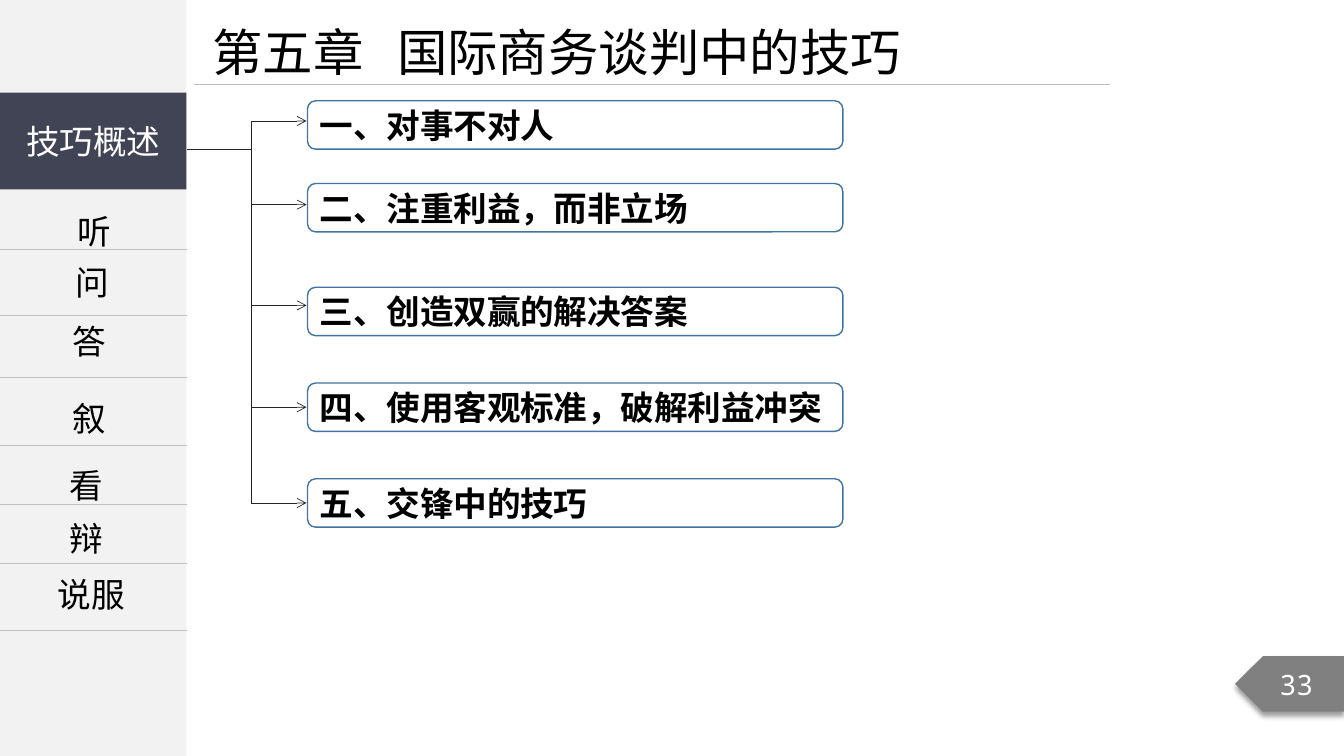
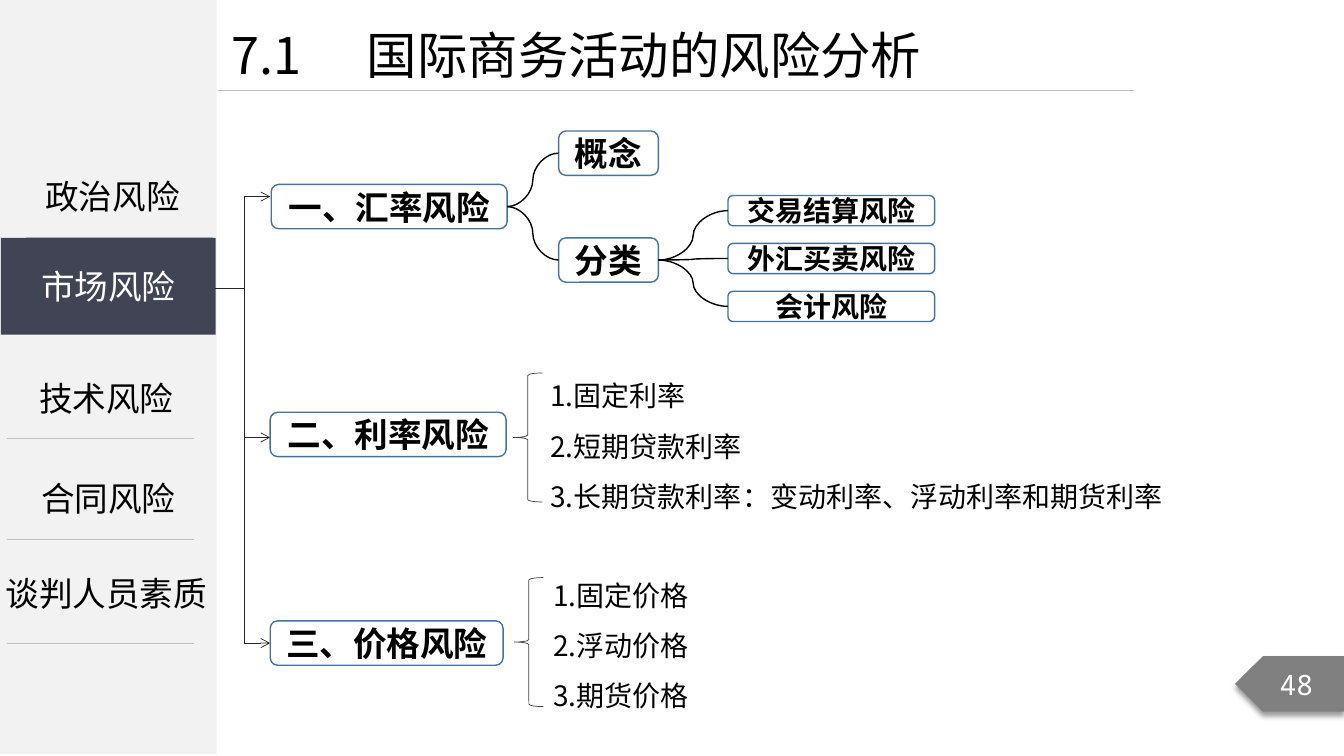
from dataclasses import dataclass

from lxml.etree import SubElement
from pptx import Presentation
from pptx.dml.color import RGBColor
from pptx.enum.shapes import MSO_CONNECTOR, MSO_SHAPE
from pptx.enum.text import MSO_ANCHOR, PP_ALIGN
from pptx.oxml.ns import qn
from pptx.util import Inches, Pt

BLACK = RGBColor(0x00, 0x00, 0x00)
WHITE = RGBColor(0xFF, 0xFF, 0xFF)
PANEL = RGBColor(0xF2, 0xF2, 0xF2)
ACTIVE = RGBColor(0x41, 0x44, 0x55)
RULE = RGBColor(0xBF, 0xBF, 0xBF)
TREE = RGBColor(0x26, 0x26, 0x26)
BRACE = RGBColor(0x40, 0x40, 0x40)
OUTLINE = RGBColor(0x43, 0x73, 0x9E)
TAG = RGBColor(0x80, 0x80, 0x80)
FONT = "Noto Sans CJK SC"
NUMBER_FONT = "Noto Sans Mono"
RIGHT_SITE, LEFT_SITE = 3, 1


@dataclass(frozen=True)
class Box:
    left: float
    top: float
    width: float
    height: float

    def lengths(self):
        return [Inches(v) for v in (self.left, self.top, self.width, self.height)]


@dataclass(frozen=True)
class Label:
    text: str
    box: Box
    spacing: float = 1.0


@dataclass(frozen=True)
class Frame:
    panel: Box
    title: str
    title_box: Box
    title_tab: float
    rule_left: float
    rule_y: float
    page: str
    active: Label
    labels: tuple
    dividers: tuple


@dataclass(frozen=True)
class Tree:
    root_x: float
    root_y: float
    trunk_x: float
    tip_x: float
    branches: tuple


def write(sp, lines, size=24, color=BLACK, font=FONT, align=PP_ALIGN.CENTER,
          spacing=1.0, bold=False, tracking=None):
    tf = sp.text_frame
    tf.word_wrap = True
    tf.text = "\n".join(lines)
    for p in tf.paragraphs:
        p.alignment = align
        p.line_spacing = spacing
        p.font.size = Pt(size)
        p.font.bold = bold
        p.font.color.rgb = color
        p.font.name = font
        props = p._p.find(".//" + qn("a:defRPr"))
        SubElement(props, qn("a:ea"), typeface=font)
        if tracking is not None:
            props.set("spc", str(round(tracking * 100)))
    return tf


def add_shape(slide, kind, box: Box, fill=None, line=None, width=1.0):
    sp = slide.shapes.add_shape(kind, *box.lengths())
    sp.shadow.inherit = False
    if fill is None:
        sp.fill.background()
    else:
        sp.fill.solid()
        sp.fill.fore_color.rgb = fill
    if line is None:
        sp.line.fill.background()
    else:
        sp.line.color.rgb = line
        sp.line.width = Pt(width)
    sp.text_frame.vertical_anchor = MSO_ANCHOR.MIDDLE
    return sp


def add_text(slide, lines, box: Box, **style):
    return write(slide.shapes.add_textbox(*box.lengths()), lines, **style)


def add_line(slide, x1: float, y1: float, x2: float, y2: float, color,
             width=0.5, kind=MSO_CONNECTOR.STRAIGHT, arrow=False):
    cx = slide.shapes.add_connector(kind, *[Inches(v) for v in (x1, y1, x2, y2)])
    cx.line.color.rgb = color
    cx.line.width = Pt(width)
    sp_pr = cx.element.spPr
    if arrow:
        SubElement(sp_pr.find(qn("a:ln")), qn("a:tailEnd"), type="arrow")
    SubElement(sp_pr, qn("a:effectLst"))
    return cx


def add_node(slide, text: str, box: Box, size=24, align=PP_ALIGN.CENTER):
    sp = add_shape(slide, MSO_SHAPE.ROUNDED_RECTANGLE, box, line=OUTLINE)
    write(sp, [text], size=size, align=align, bold=True, tracking=-0.1)
    return sp


def add_curve(slide, parent, child):
    cx = add_line(slide, 0, 0, 1, 1, BLACK, 1, MSO_CONNECTOR.CURVE)
    cx.begin_connect(parent, RIGHT_SITE)
    cx.end_connect(child, LEFT_SITE)


def add_page_tag(slide, page: str):
    sp = add_shape(slide, MSO_SHAPE.PENTAGON, Box(12.25, 6.51, 1.08, 0.55), TAG)
    sp.element.spPr.find(qn("a:xfrm")).set("flipH", "1")
    shadow = SubElement(sp.element.spPr.find(qn("a:effectLst")), qn("a:outerShdw"),
                        blurRad=str(Pt(4)), dist=str(Pt(3)), dir="5400000",
                        algn="t", rotWithShape="0")
    tint = SubElement(shadow, qn("a:srgbClr"), val=str(BLACK))
    SubElement(tint, qn("a:alpha"), val="40000")
    write(sp, [page], size=20, color=WHITE, font=NUMBER_FONT)


def add_title(slide, frame: Frame):
    tf = add_text(slide, [frame.title], frame.title_box, size=36, align=PP_ALIGN.LEFT)
    p = tf.paragraphs[0]
    props = p._p.find(".//" + qn("a:defRPr"))
    tabs = SubElement(props.getparent(), qn("a:tabLst"))
    SubElement(tabs, qn("a:tab"), pos=str(Inches(frame.title_tab)), algn="l")
    props.addprevious(tabs)


def add_frame(prs, frame: Frame):
    slide = prs.slides.add_slide(prs.slide_layouts[6])
    add_shape(slide, MSO_SHAPE.RECTANGLE, frame.panel, PANEL)
    add_line(slide, frame.rule_left, frame.rule_y,
             frame.rule_left + 9.09, frame.rule_y, RULE)
    add_page_tag(slide, frame.page)
    for label in frame.labels:
        add_text(slide, [label.text], label.box, spacing=label.spacing)
    for x, y in frame.dividers:
        add_line(slide, x, y, x + 1.85, y, RULE)
    sp = add_shape(slide, MSO_SHAPE.RECTANGLE, frame.active.box, ACTIVE)
    write(sp, [frame.active.text], color=WHITE)
    add_title(slide, frame)
    return slide


def add_tree(slide, tree: Tree):
    add_line(slide, tree.root_x, tree.root_y, tree.trunk_x, tree.root_y, TREE)
    add_line(slide, tree.trunk_x, tree.branches[0], tree.trunk_x, tree.branches[-1], TREE)
    for y in tree.branches:
        add_line(slide, tree.trunk_x, y, tree.tip_x, y, TREE, arrow=True)


def add_braced_list(slide, lines, text_box: Box, brace: Box):
    add_text(slide, lines, text_box, size=20, align=PP_ALIGN.LEFT, spacing=1.5)
    add_shape(slide, MSO_SHAPE.LEFT_BRACE, brace, line=BRACE, width=0.5)


def build_skills(prs):
    slide = add_frame(prs, Frame(
        panel=Box(0, 0, 1.85, 7.5),
        title="第五章\t国际商务谈判中的技巧",
        title_box=Box(2.01, 0.16, 9.67, 0.71),
        title_tab=1.83,
        rule_left=1.92,
        rule_y=0.84,
        page="33",
        active=Label("技巧概述", Box(0, 0.92, 1.85, 0.96)),
        labels=(
            Label("听", Box(0.02, 1.84, 1.83, 0.64), 1.5),
            Label("问", Box(0, 2.55, 1.83, 0.5)),
            Label("答", Box(-0.03, 3.13, 1.83, 0.5)),
            Label("叙", Box(-0.03, 3.7, 1.83, 0.64), 1.5),
            Label("看", Box(-0.06, 4.36, 1.83, 0.64), 1.5),
            Label("辩", Box(-0.06, 5.09, 1.83, 0.5)),
            Label("说服", Box(-0.01, 5.64, 1.83, 0.5)),
        ),
        dividers=tuple((0, y) for y in (2.47, 3.13, 3.74, 4.42, 5, 5.59, 6.25)),
    ))
    add_tree(slide, Tree(1.85, 1.48, 2.49, 3.04, (1.2, 2.03, 3.03, 4.04, 4.99)))
    for text, top in (
        ("一、对事不对人", 1),
        ("二、注重利益，而非立场", 1.82),
        ("三、创造双赢的解决答案", 2.85),
        ("四、使用客观标准，破解利益冲突", 3.8),
        ("五、交锋中的技巧", 4.75),
    ):
        add_node(slide, text, Box(3.05, top, 5.31, 0.48), align=PP_ALIGN.LEFT)


def build_risks(prs):
    slide = add_frame(prs, Frame(
        panel=Box(0, 0, 2.15, 7.48),
        title="7.1\t国际商务活动的风险分析",
        title_box=Box(2.2, 0.19, 9.67, 0.71),
        title_tab=1.34,
        rule_left=2.16,
        rule_y=0.9,
        page="48",
        active=Label("市场风险", Box(0.01, 2.36, 2.13, 0.96)),
        labels=(
            Label("政治风险", Box(0.2, 1.7, 1.83, 0.5)),
            Label("技术风险", Box(0.14, 3.5, 1.83, 0.64), 1.5),
            Label("合同风险", Box(0.16, 4.49, 1.83, 0.71), 1.5),
            Label("谈判人员素质", Box(-0.05, 5.63, 2.21, 0.5)),
        ),
        dividers=((0.26, 2.35), (0.07, 4.35), (0.07, 5.35), (0.07, 6.38)),
    ))
    add_tree(slide, Tree(2.13, 2.86, 2.42, 2.68, (1.95, 4.34, 6.38)))

    exchange = add_node(slide, "一、汇率风险", Box(2.69, 1.83, 2.34, 0.44))
    add_node(slide, "二、利率风险", Box(2.68, 4.09, 2.34, 0.44))
    add_node(slide, "三、价格风险", Box(2.68, 6.16, 2.31, 0.44))

    concept = add_node(slide, "概念", Box(5.54, 1.3, 0.99, 0.44))
    classes = add_node(slide, "分类", Box(5.54, 2.36, 0.99, 0.44))
    for child in (concept, classes):
        add_curve(slide, exchange, child)
    for i, text in enumerate(("交易结算风险", "外汇买卖风险", "会计风险")):
        leaf = add_node(slide, text, Box(7.22, 1.94 + i * 0.475, 2.05, 0.3), size=20)
        add_curve(slide, classes, leaf)

    add_braced_list(
        slide,
        ("1.固定利率", "2.短期贷款利率", "3.长期贷款利率：变动利率、浮动利率和期货利率"),
        Box(5.36, 3.54, 6.48, 1.62),
        Box(5.09, 3.7, 0.29, 1.28),
    )
    add_braced_list(
        slide,
        ("1.固定价格", "2.浮动价格", "3.期货价格"),
        Box(5.39, 5.52, 2.51, 1.54),
        Box(5.1, 5.73, 0.29, 1.28),
    )


def main():
    prs = Presentation()
    prs.slide_width = Inches(13.33)
    prs.slide_height = Inches(7.5)
    build_skills(prs)
    build_risks(prs)
    prs.save("out.pptx")


if __name__ == "__main__":
    main()
